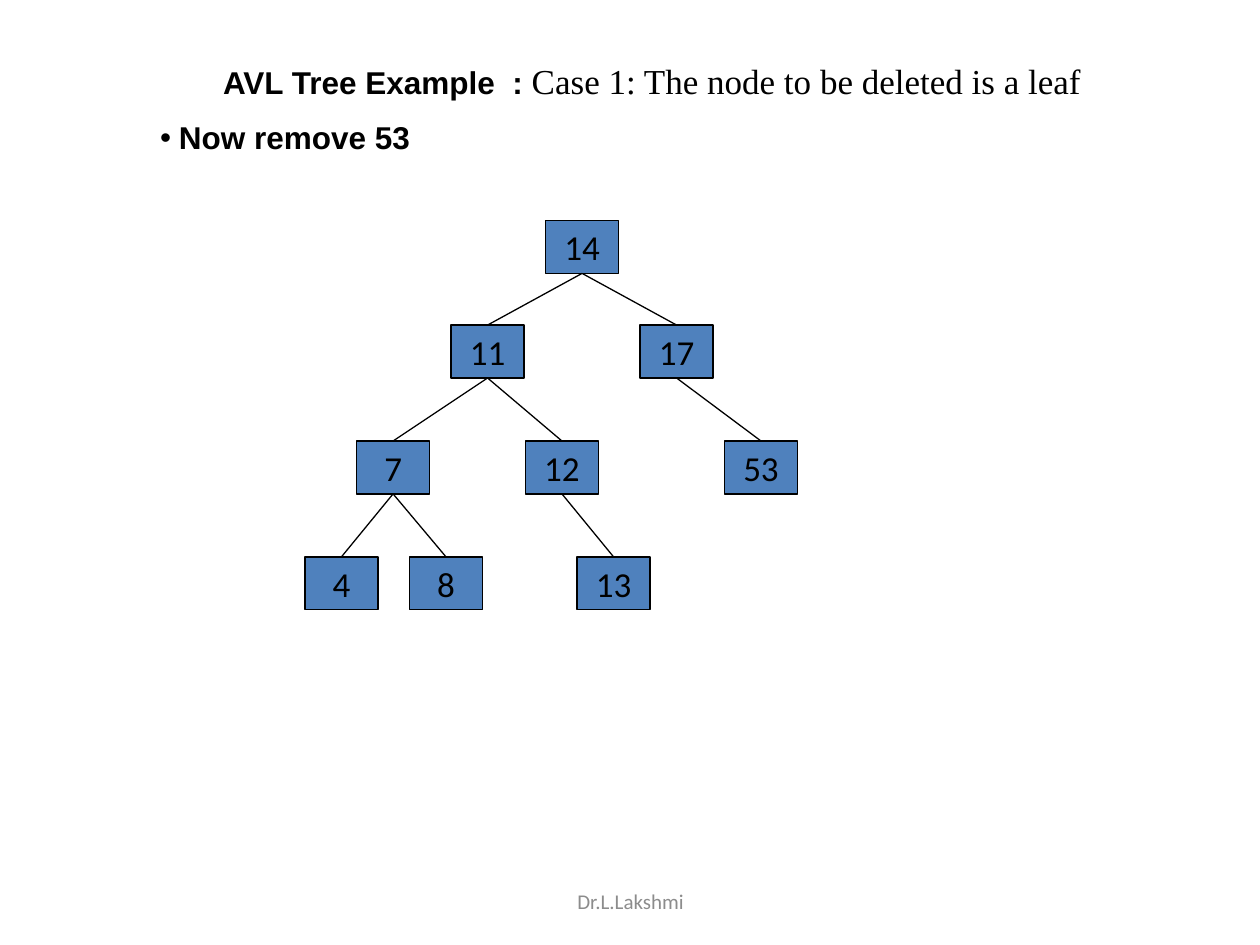
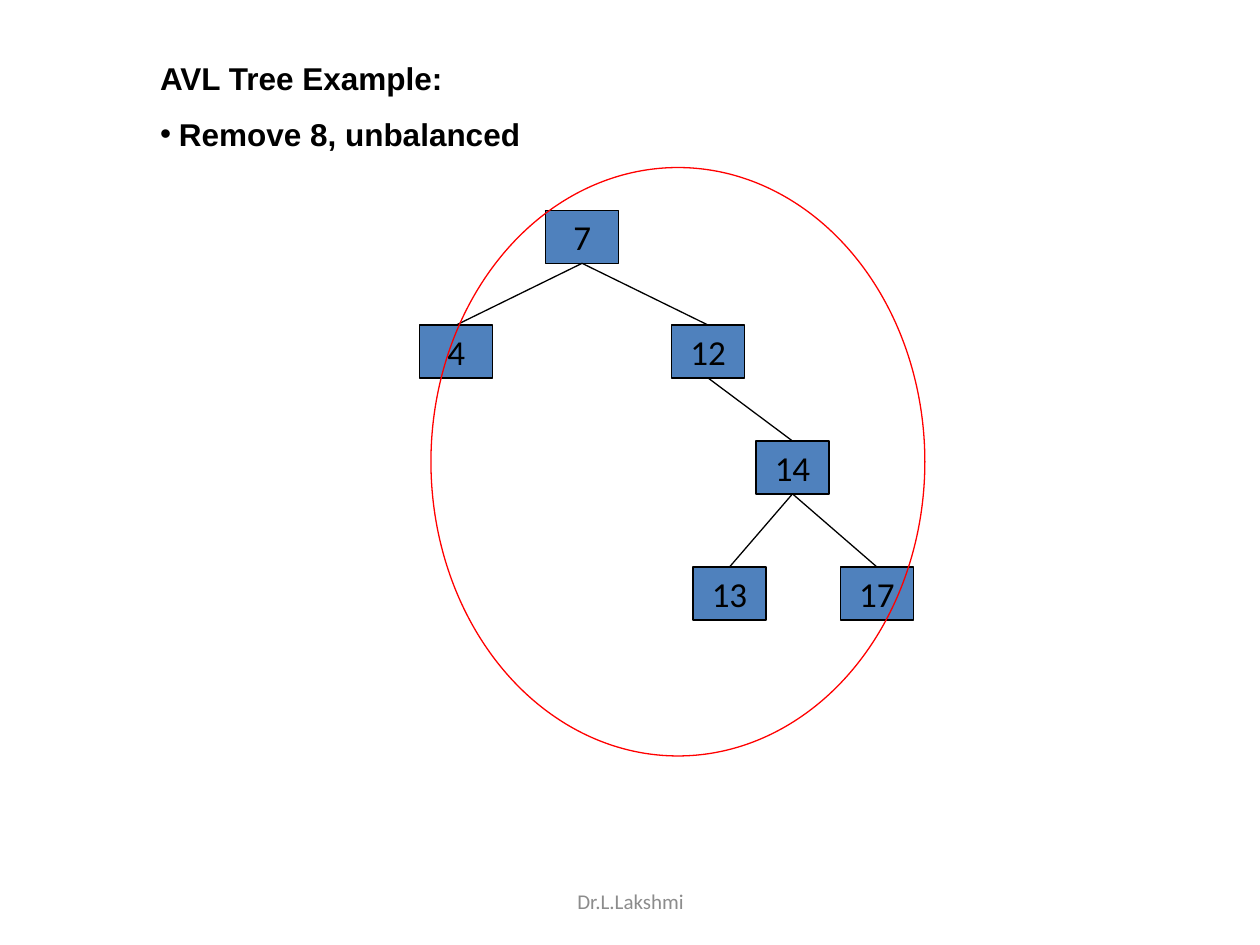
import pptx
import pptx.dml.color
import pptx.enum.shapes
import pptx.enum.text
import pptx.oxml
import pptx.oxml.ns
import pptx.util

Inches = pptx.util.Inches
Pt = pptx.util.Pt
RGBColor = pptx.dml.color.RGBColor
ANCHOR = pptx.enum.text.MSO_ANCHOR
ALIGN = pptx.enum.text.PP_ALIGN
SHAPE = pptx.enum.shapes.MSO_SHAPE

BLACK = RGBColor(0x00, 0x00, 0x00)
NODE_BLUE = RGBColor(0x4F, 0x81, 0xBD)
RING_RED = RGBColor(0xFF, 0x00, 0x00)
FOOTER_GRAY = RGBColor(0x8C, 0x8C, 0x8C)

NODE_WIDTH = 0.58
NODE_HEIGHT = 0.42
LINE_WIDTH = Pt(0.75)
BOTTOM_SITE, TOP_SITE = 2, 0

SLIDES = [
    {
        "title": [
            ("AVL Tree Example  : ", "Arial", 18, True),
            ("Case 1: The node to be deleted is a leaf", "Times New Roman", 20, False),
        ],
        "title_indent": 0.5,
        "step": "Now remove 53",
        "step_top": 0.89,
        "nodes": {
            "14": (4.33, 1.75),
            "11": (3.58, 2.58), "17": (5.08, 2.58),
            "7": (2.83, 3.5), "12": (4.17, 3.5), "53": (5.75, 3.5),
            "4": (2.42, 4.42), "8": (3.25, 4.42), "13": (4.58, 4.42),
        },
        "edges": [("14", "11"), ("14", "17"), ("11", "7"), ("11", "12"),
                  ("17", "53"), ("7", "4"), ("7", "8"), ("12", "13")],
        "ring": None,
    },
    {
        "title": [("AVL Tree Example:", "Arial", 18, True)],
        "title_indent": 0,
        "step": "Remove 8, unbalanced",
        "step_top": 0.86,
        "nodes": {
            "7": (4.33, 1.67),
            "4": (3.33, 2.58), "12": (5.33, 2.58),
            "14": (6, 3.5),
            "13": (5.5, 4.5), "17": (6.67, 4.5),
        },
        "edges": [("7", "4"), ("7", "12"), ("12", "14"), ("14", "13"), ("14", "17")],
        "ring": (3.42, 1.33, 3.92, 4.67),
    },
]


def add_span(para, text, font, size, color=BLACK, bold=False):
    span = para.add_run()
    span.text = text
    span.font.name = font
    span.font.size = Pt(size)
    span.font.bold = bold
    span.font.color.rgb = color


def place_text(box, left, top, width, height, anchor, align):
    box.left, box.top = Inches(left), Inches(top)
    box.width, box.height = Inches(width), Inches(height)
    frame = box.text_frame
    frame.auto_size = pptx.enum.text.MSO_AUTO_SIZE.NONE
    frame.word_wrap = True
    frame.vertical_anchor = anchor
    para = frame.paragraphs[0]
    para.alignment = align
    para.space_before = Pt(0)
    return para


deck = pptx.Presentation()
deck.slide_width = Inches(10)
deck.slide_height = Inches(7.5)

for content in SLIDES:
    page = deck.slides.add_slide(deck.slide_layouts[1])

    title = page.shapes.title
    para = place_text(title, 1.17, 0.42, 7.83, 0.45, ANCHOR.TOP, ALIGN.LEFT)
    title.text_frame.margin_left = Inches(0.1 + content["title_indent"])
    for text, font, size, bold in content["title"]:
        add_span(para, text, font, size, bold=bold)

    body = page.placeholders[1]
    para = place_text(body, 1.17, content["step_top"], 7.83, 0.42, ANCHOR.TOP, ALIGN.LEFT)
    properties = para._p.get_or_add_pPr()
    properties.set("marL", str(Inches(0.15)))
    properties.set("indent", str(-Inches(0.15)))
    bullet = pptx.oxml.parse_xml(
        "<a:buChar %s char='•'/>" % pptx.oxml.ns.nsdecls("a"))
    properties.append(bullet)
    add_span(para, content["step"], "Arial", 18, bold=True)

    nodes = {}
    for key, (left, top) in content["nodes"].items():
        node = page.shapes.add_shape(
            SHAPE.RECTANGLE, Inches(left), Inches(top),
            Inches(NODE_WIDTH), Inches(NODE_HEIGHT))
        node.shadow.inherit = False
        node.fill.solid()
        node.fill.fore_color.rgb = NODE_BLUE
        node.line.color.rgb = BLACK
        node.line.width = LINE_WIDTH
        node.text_frame.word_wrap = False
        node.text_frame.vertical_anchor = ANCHOR.MIDDLE
        para = node.text_frame.paragraphs[0]
        para.alignment = ALIGN.CENTER
        add_span(para, key, "Calibri", 20)
        nodes[key] = node

    for parent, child in content["edges"]:
        edge = page.shapes.add_connector(
            pptx.enum.shapes.MSO_CONNECTOR.STRAIGHT, 0, 0, 0, 0)
        edge.begin_connect(nodes[parent], BOTTOM_SITE)
        edge.end_connect(nodes[child], TOP_SITE)
        edge.line.color.rgb = BLACK
        edge.line.width = LINE_WIDTH
        edge._element.spPr.append(pptx.oxml.parse_xml(
            "<a:effectLst %s/>" % pptx.oxml.ns.nsdecls("a")))

    if content["ring"]:
        ring = page.shapes.add_shape(
            SHAPE.OVAL, *[Inches(length) for length in content["ring"]])
        ring.shadow.inherit = False
        ring.fill.background()
        ring.line.color.rgb = RING_RED
        ring.line.width = LINE_WIDTH

    footer = page.shapes.add_textbox(0, 0, 0, 0)
    para = place_text(footer, 3.42, 6.95, 3.17, 0.4, ANCHOR.MIDDLE, ALIGN.CENTER)
    add_span(para, "Dr.L.Lakshmi", "Calibri", 12, FOOTER_GRAY)

deck.save("out.pptx")
